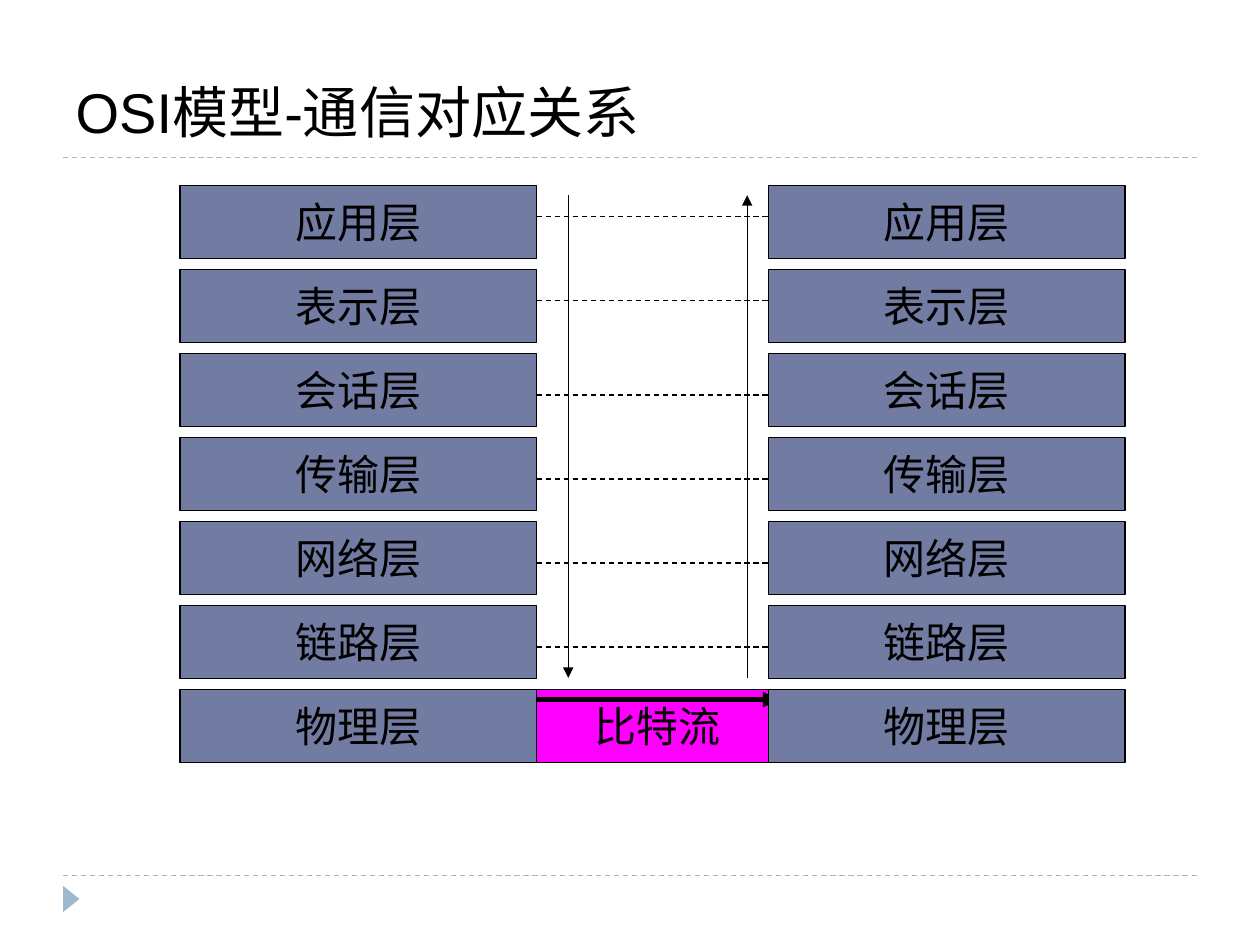
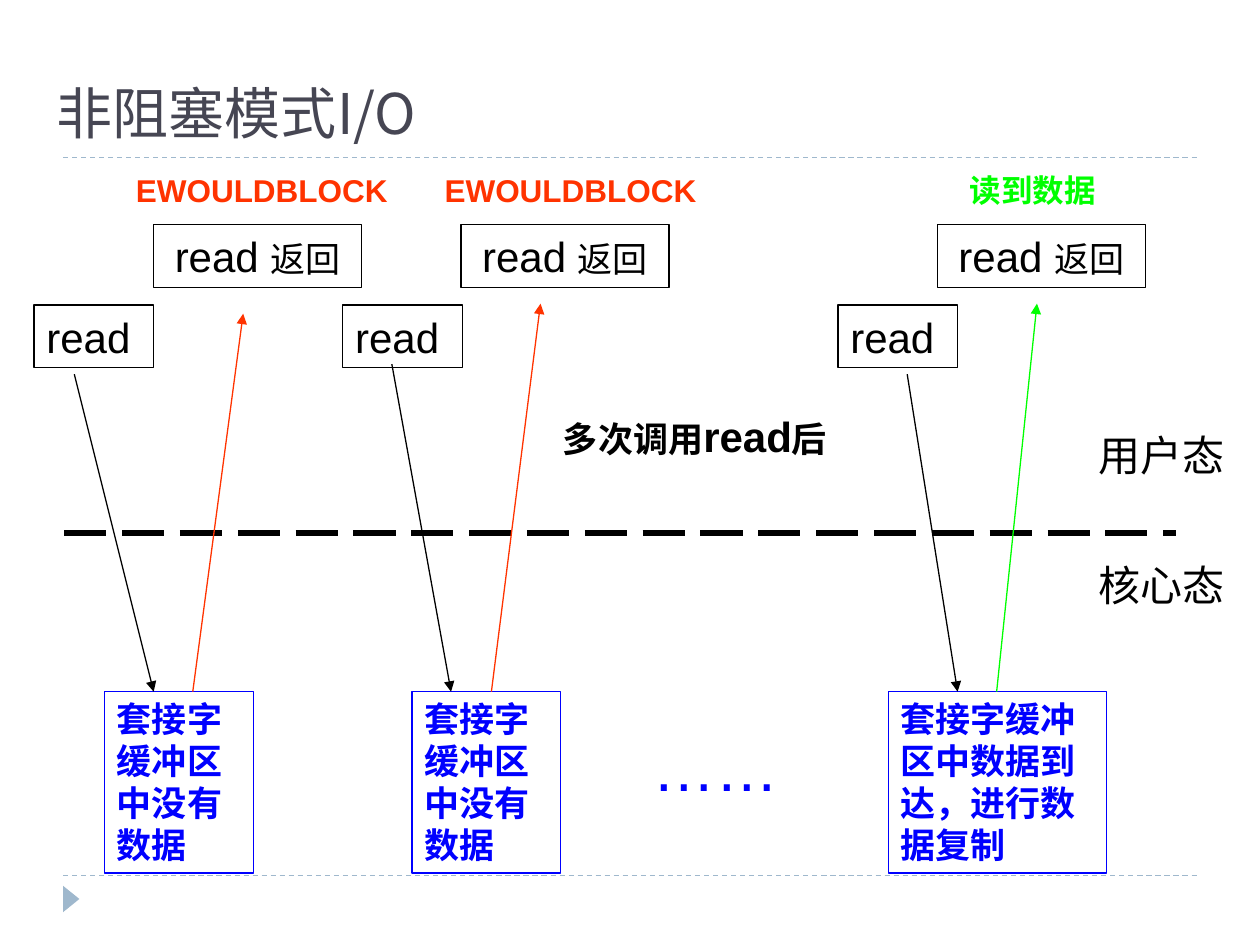
from dataclasses import dataclass
from typing import NamedTuple, Optional

from lxml.etree import SubElement
from pptx import Presentation
from pptx.dml.color import RGBColor
from pptx.enum.dml import MSO_LINE
from pptx.enum.lang import MSO_LANGUAGE_ID
from pptx.enum.shapes import MSO_CONNECTOR, MSO_SHAPE
from pptx.enum.text import MSO_ANCHOR, MSO_AUTO_SIZE, PP_ALIGN
from pptx.oxml.ns import qn
from pptx.util import Emu, Inches, Pt

BLACK = RGBColor(0x00, 0x00, 0x00)
SLATE = RGBColor(0x46, 0x46, 0x53)
PALE_BLUE = RGBColor(0x9F, 0xB8, 0xCD)
LAYER_BLUE = RGBColor(0x72, 0x7C, 0xA3)
MAGENTA = RGBColor(0xFF, 0x00, 0xFF)
BLUE = RGBColor(0x00, 0x00, 0xFF)
RED = RGBColor(0xFF, 0x33, 0x00)
GREEN = RGBColor(0x00, 0xFF, 0x00)

BODY_FONT = "Arial"
LAYER_FONT = "Karla"
CHINESE_FONT = "Noto Sans CJK SC"

# The slide is a grid of 100 columns and 75 rows of square cells.
COLUMNS, ROWS = 100, 75
CELL = Inches(0.1)
THIN, THICK = 0.75, 3


class Box(NamedTuple):
    """Left, top, width and height in grid cells."""
    left: float
    top: float
    width: float
    height: float


class Point(NamedTuple):
    column: float
    row: float


class Run(NamedTuple):
    text: str
    size: float
    color: RGBColor = BLACK
    bold: bool = False
    font: str = BODY_FONT
    east_asian: str = LAYER_FONT


@dataclass(frozen=True)
class ReadCall:
    """One read call: its boxes and the arrows into and out of the kernel."""
    read_left: float
    return_left: float
    buffer: Box
    buffer_text: str
    result: Run
    result_box: Box
    request: tuple[Point, Point]
    reply: tuple[Point, Point]


def cells(count: float) -> Emu:
    return Emu(round(count * CELL))


def add_runs(text_frame, runs: list[Run], align=PP_ALIGN.LEFT, anchor=MSO_ANCHOR.TOP) -> None:
    text_frame.word_wrap = True
    text_frame.auto_size = MSO_AUTO_SIZE.NONE
    text_frame.vertical_anchor = anchor
    paragraph = text_frame.paragraphs[0]
    paragraph.alignment = align
    for item in runs:
        run = paragraph.add_run()
        run.text = item.text
        font = run.font
        font.size = Pt(item.size)
        font.bold = item.bold
        font.color.rgb = item.color
        font.name = item.font
        font.language_id = MSO_LANGUAGE_ID.SIMPLIFIED_CHINESE
        SubElement(font._element, qn("a:ea"), typeface=item.east_asian)


def add_box(slide, box: Box, runs: list[Run], line: RGBColor = BLACK,
            fill: Optional[RGBColor] = None, align=PP_ALIGN.LEFT, anchor=MSO_ANCHOR.TOP) -> None:
    shape = slide.shapes.add_shape(MSO_SHAPE.RECTANGLE, *map(cells, box))
    shape.shadow.inherit = False
    if fill is None:
        shape.fill.background()
    else:
        shape.fill.solid()
        shape.fill.fore_color.rgb = fill
    shape.line.color.rgb = line
    shape.line.width = Pt(THIN)
    add_runs(shape.text_frame, runs, align, anchor)


def add_label(slide, box: Box, runs: list[Run]) -> None:
    add_runs(slide.shapes.add_textbox(*map(cells, box)).text_frame, runs)


def add_line(slide, start: Point, end: Point, color: RGBColor = BLACK,
             width: float = THIN, dash=None, arrow: bool = False) -> None:
    connector = slide.shapes.add_connector(
        MSO_CONNECTOR.STRAIGHT, *map(cells, (*start, *end)))
    connector.line.color.rgb = color
    connector.line.width = Pt(width)
    if dash is not None:
        connector.line.dash_style = dash
    if arrow:
        SubElement(connector.line._get_or_add_ln(), qn("a:tailEnd"), type="triangle")
    SubElement(connector._element.spPr, qn("a:effectLst"))


def add_framed_slide(presentation, title: Run, title_box: Box, anchor):
    """Add a slide with the title, both dashed rules and the corner marker."""
    slide = presentation.slides.add_slide(presentation.slide_layouts[5])
    for row in (69.5, 12.5):
        add_line(slide, Point(5, row), Point(COLUMNS - 5, row), PALE_BLUE, dash=MSO_LINE.DASH)
    marker = slide.shapes.add_shape(
        MSO_SHAPE.ISOSCELES_TRIANGLE, *map(cells, Box(4.6, 70.7, 2.1, 1.3)))
    marker.rotation = 90
    marker.shadow.inherit = False
    marker.fill.solid()
    marker.fill.fore_color.rgb = PALE_BLUE
    marker.line.fill.background()
    heading = slide.shapes.title
    heading.left, heading.top, heading.width, heading.height = map(cells, title_box)
    add_runs(heading.text_frame, [title], anchor=anchor)
    return slide


LAYERS = ("应用层", "表示层", "会话层", "传输层", "网络层", "链路层", "物理层")
LAYER_TOP, LAYER_PITCH = 14.7, 6.67
LAYER_WIDTH, LAYER_HEIGHT = 28.3, 5.8
SENDER_LEFT, RECEIVER_LEFT = 14.3, 61
SENDER_RIGHT = SENDER_LEFT + LAYER_WIDTH


def layer_top(index: int) -> float:
    return LAYER_TOP + index * LAYER_PITCH


def add_layer(slide, box: Box, text: str, fill: RGBColor = LAYER_BLUE) -> None:
    add_box(slide, box, [Run(text, 24, font=LAYER_FONT)], fill=fill,
            align=PP_ALIGN.CENTER, anchor=MSO_ANCHOR.MIDDLE)


def add_stack(slide, left: float) -> None:
    for index, name in enumerate(LAYERS):
        add_layer(slide, Box(left, layer_top(index), LAYER_WIDTH, LAYER_HEIGHT), name)


def add_osi_slide(presentation) -> None:
    slide = add_framed_slide(presentation, Run("OSI模型-通信对应关系", 32),
                             Box(5, 5.2, 90, 7.3), MSO_ANCHOR.MIDDLE)
    add_stack(slide, SENDER_LEFT)

    physical_top = layer_top(len(LAYERS) - 1)
    stream = Box(SENDER_RIGHT, physical_top, 19.2, LAYER_HEIGHT)
    add_layer(slide, stream, "比特流", MAGENTA)
    stream_row = physical_top + 0.8
    add_line(slide, Point(stream.left, stream_row),
             Point(stream.left + stream.width, stream_row), width=THICK, arrow=True)

    top_row, bottom_row = 15.5, 53.8
    add_line(slide, Point(45.1, top_row), Point(45.1, bottom_row), arrow=True)
    add_line(slide, Point(59.3, bottom_row), Point(59.3, top_row), arrow=True)
    for index in range(len(LAYERS) - 1):
        row = layer_top(index) + (2.5 if index < 2 else 3.3)
        add_line(slide, Point(SENDER_RIGHT, row), Point(RECEIVER_LEFT, row), dash=MSO_LINE.DASH)
    add_stack(slide, RECEIVER_LEFT)


NO_DATA = "套接字缓冲区中没有数据"
WOULD_BLOCK = Run("EWOULDBLOCK", 18, RED, True)
BUFFER_TOP, BUFFER_HEIGHT = 54.9, 14.4
RESULT_TOP, RESULT_HEIGHT = 13.1, 4

READ_CALLS = (
    ReadCall(2.7, 12.2, Box(8.3, BUFFER_TOP, 11.8, BUFFER_HEIGHT), NO_DATA,
             WOULD_BLOCK, Box(9.8, RESULT_TOP, 22.1, RESULT_HEIGHT),
             (Point(5.9, 29.7), Point(12.2, BUFFER_TOP)),
             (Point(15.3, BUFFER_TOP), Point(19.3, 24.9))),
    ReadCall(27.2, 36.6, Box(32.7, BUFFER_TOP, 11.8, BUFFER_HEIGHT), NO_DATA,
             WOULD_BLOCK, Box(34.3, RESULT_TOP, 22.1, RESULT_HEIGHT),
             (Point(31.1, 28.9), Point(35.8, BUFFER_TOP)),
             (Point(39, BUFFER_TOP), Point(42.9, 24.1))),
    ReadCall(66.5, 74.4, Box(70.5, BUFFER_TOP, 17.3, BUFFER_HEIGHT),
             "套接字缓冲区中数据到达，进行数据复制",
             Run("读到数据", 18, GREEN, True), Box(76, RESULT_TOP, 15, RESULT_HEIGHT),
             (Point(72, 29.7), Point(76, BUFFER_TOP)),
             (Point(79.1, BUFFER_TOP), Point(82.3, 24.1))),
)


def add_read_call(slide, call: ReadCall) -> None:
    add_box(slide, call.buffer, [Run(call.buffer_text, 20, BLUE, True)], line=BLUE)
    add_box(slide, Box(call.read_left, 24.2, 9.5, 5), [Run("read", 24)])
    add_box(slide, Box(call.return_left, 17.8, 16.5, 5),
            [Run("read ", 24), Run("返回", 20)], align=PP_ALIGN.CENTER)
    add_line(slide, *call.request, arrow=True)
    add_line(slide, *call.reply, color=call.result.color, arrow=True)
    add_label(slide, call.result_box, [call.result])


def add_nonblocking_slide(presentation) -> None:
    title = Run("非阻塞模式I/O", 32, SLATE, font=CHINESE_FONT, east_asian=CHINESE_FONT)
    slide = add_framed_slide(presentation, title, Box(3.5, 4.4, 90, 7.7), MSO_ANCHOR.BOTTOM)
    add_line(slide, Point(5.1, 42.3), Point(93.3, 42.3), width=THICK, dash=MSO_LINE.LONG_DASH)
    for mode, top in (("用户态", 33.6), ("核心态", 43.9)):
        add_label(slide, Box(86.2, top, 13.8, 5), [Run(mode, 24)])
    add_label(slide, Box(50.8, 57.3, 14.2, 7), [Run("……", 36, BLUE, east_asian=BODY_FONT)])
    add_label(slide, Box(43.7, 32.1, 23, 8.4),
              [Run("多次调用", 20, bold=True), Run("read", 24, bold=True),
               Run("后", 20, bold=True)])
    for call in READ_CALLS:
        add_read_call(slide, call)


def main() -> None:
    presentation = Presentation()
    presentation.slide_width = cells(COLUMNS)
    presentation.slide_height = cells(ROWS)
    add_osi_slide(presentation)
    add_nonblocking_slide(presentation)
    presentation.save("out.pptx")


if __name__ == "__main__":
    main()
